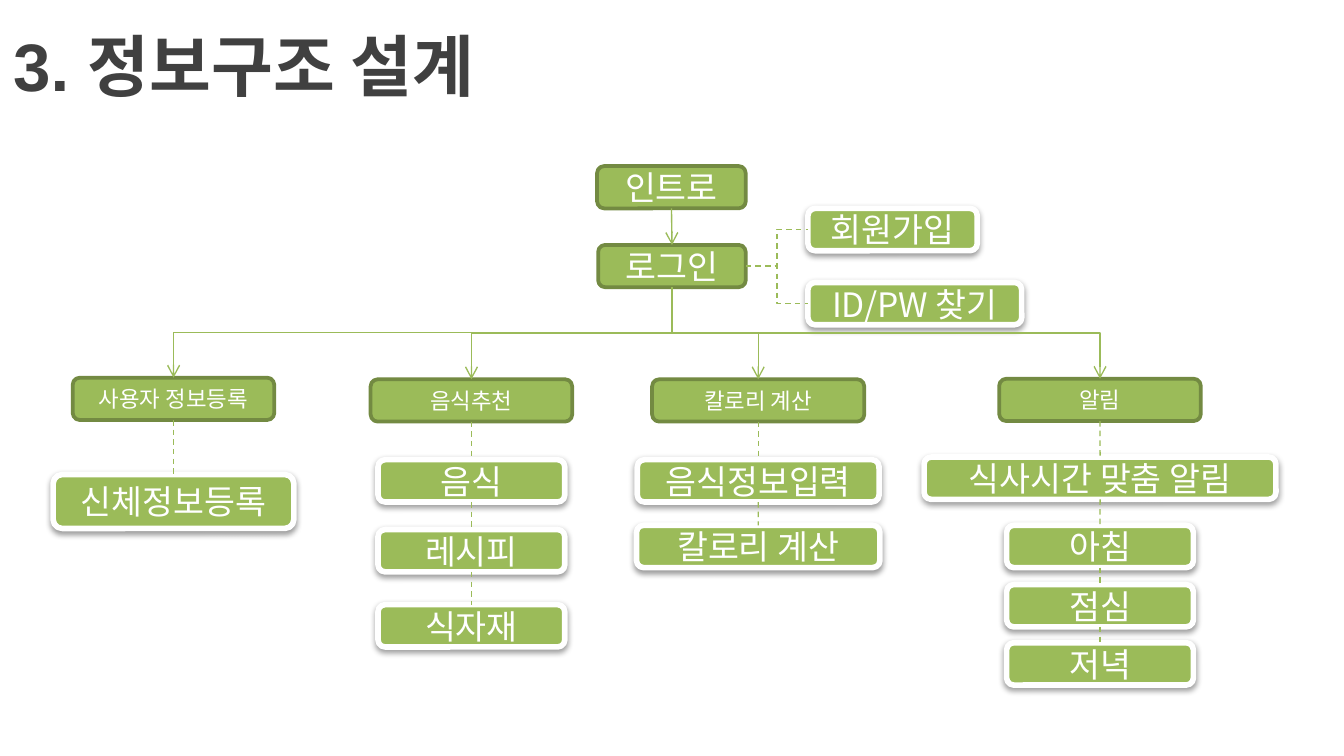
from dataclasses import dataclass
from itertools import pairwise

from lxml.etree import SubElement
from pptx import Presentation
from pptx.dml.color import RGBColor
from pptx.enum.dml import MSO_LINE
from pptx.enum.shapes import MSO_CONNECTOR, MSO_SHAPE
from pptx.enum.text import MSO_ANCHOR, PP_ALIGN
from pptx.oxml.ns import qn
from pptx.util import Cm, Pt

TOP, LEFT, BOTTOM, RIGHT = range(4)


@dataclass(frozen=True)
class Theme:
    green: RGBColor = RGBColor(0x9B, 0xBB, 0x59)
    dark_green: RGBColor = RGBColor(0x73, 0x8A, 0x42)
    white: RGBColor = RGBColor(0xFF, 0xFF, 0xFF)
    heading: RGBColor = RGBColor(0x40, 0x40, 0x40)
    heading_font: str = "Arial"
    body_font: str = "Noto Sans CJK KR"
    heading_size: int = 36
    body_size: int = 18
    menu_size: int = 12
    line_width: float = 0.75


class SiteMap:
    def __init__(self, page, theme):
        self.page = page
        self.theme = theme

    def set_text(self, box, text, size, color, font, bold=False):
        frame = box.text_frame
        frame.text = text
        frame.vertical_anchor = MSO_ANCHOR.MIDDLE
        span = frame.paragraphs[0].runs[0]
        span.font.size = Pt(size)
        span.font.bold = bold
        span.font.color.rgb = color
        span.font.name = font
        properties = span._r.get_or_add_rPr()
        SubElement(properties, qn("a:ea")).set("typeface", self.theme.body_font)

    def title(self, text):
        theme = self.theme
        box = self.page.shapes.add_textbox(0, 0, Cm(25.4), Cm(2.46))
        box.text_frame.word_wrap = True
        self.set_text(box, text, theme.heading_size, theme.heading, theme.heading_font, True)

    def node(self, text, center, top, width, height, size, edge, edge_width):
        box = self.page.shapes.add_shape(
            MSO_SHAPE.ROUNDED_RECTANGLE,
            Cm(center - width / 2), Cm(top), Cm(width), Cm(height),
        )
        box.shadow.inherit = False
        box.fill.solid()
        box.fill.fore_color.rgb = self.theme.green
        box.line.color.rgb = edge
        box.line.width = Pt(edge_width)
        box.text_frame.word_wrap = False
        self.set_text(box, text, size, self.theme.white, self.theme.body_font)
        box.text_frame.paragraphs[0].alignment = PP_ALIGN.CENTER
        return box

    def screen(self, text, center, top, width, size):
        return self.node(text, center, top, width, 0.8, size, self.theme.dark_green, 2)

    def feature(self, text, center, top, width, height=0.8):
        box = self.node(
            text, center, top, width, height, self.theme.body_size, self.theme.white, 3
        )
        effects = box._element.spPr.find(qn("a:effectLst"))
        shadow = SubElement(
            effects, qn("a:outerShdw"),
            blurRad="40000", dist="20000", dir="5400000", rotWithShape="0",
        )
        color = SubElement(shadow, qn("a:srgbClr"), val="000000")
        SubElement(color, qn("a:alpha"), val="38000")
        return box

    def link(self, start, end, start_site=BOTTOM, end_site=TOP,
             kind=MSO_CONNECTOR.STRAIGHT, arrow=False):
        line = self.page.shapes.add_connector(kind, 0, 0, 0, 0)
        line.begin_connect(start, start_site)
        line.end_connect(end, end_site)
        line.line.color.rgb = self.theme.green
        line.line.width = Pt(self.theme.line_width)
        properties = line._element.spPr
        if arrow:
            SubElement(properties.find(qn("a:ln")), qn("a:tailEnd"), type="arrow")
        else:
            line.line.dash_style = MSO_LINE.DASH
        SubElement(properties, qn("a:effectLst"))
        return line

    def branch(self, start, end):
        line = self.link(start, end, kind=MSO_CONNECTOR.ELBOW, arrow=True)
        rightward = line.end_x > line.begin_x
        center_x = line.left + line.width // 2
        center_y = line.top + line.height // 2
        line.width, line.height = line.height, line.width
        line.left = center_x - line.width // 2
        line.top = center_y - line.height // 2
        frame = line._element.spPr.find(qn("a:xfrm"))
        frame.set("rot", "16200000" if rightward else "5400000")
        frame.set("flipH", "1" if rightward else "0")
        frame.set("flipV", "0")


def main():
    deck = Presentation()
    deck.slide_width, deck.slide_height = Cm(25.4), Cm(14.29)
    theme = Theme()
    site = SiteMap(deck.slides.add_slide(deck.slide_layouts[6]), theme)

    site.title("3. 정보구조 설계")
    intro = site.screen("인트로", 12.69, 3.14, 2.81, theme.body_size)
    login = site.screen("로그인", 12.7, 4.63, 2.79, theme.body_size)
    site.link(intro, login, arrow=True)

    side_left = 15.27
    for text, top, width in [("회원가입", 3.94, 3.2), ("ID/PW 찾기", 5.34, 4.04)]:
        option = site.feature(text, side_left + width / 2, top, width)
        site.link(login, option, RIGHT, LEFT, MSO_CONNECTOR.ELBOW)

    columns = [
        ("사용자 정보등록", 3.28, 7.14, 3.81, [("신체정보등록", 8.97, 4.55, 1.02)]),
        ("음식추천", 8.91, 7.17, 3.81,
         [("음식", 8.69, 3.53), ("레시피", 10.01, 3.53), ("식자재", 11.43, 3.53)]),
        ("칼로리 계산", 14.33, 7.17, 4.01,
         [("음식정보입력", 8.69, 4.57), ("칼로리 계산", 9.93, 4.6)]),
        ("알림", 20.79, 7.16, 3.81,
         [("식사시간 맞춤 알림", 8.64, 6.65), ("아침", 9.93, 3.53),
          ("점심", 11.05, 3.53), ("저녁", 12.15, 3.53)]),
    ]
    for name, center, top, width, features in columns:
        menu = site.screen(name, center, top, width, theme.menu_size)
        site.branch(login, menu)
        chain = [menu] + [site.feature(text, center, *place) for text, *place in features]
        for upper, lower in pairwise(chain):
            site.link(upper, lower)

    deck.save("out.pptx")


if __name__ == "__main__":
    main()
